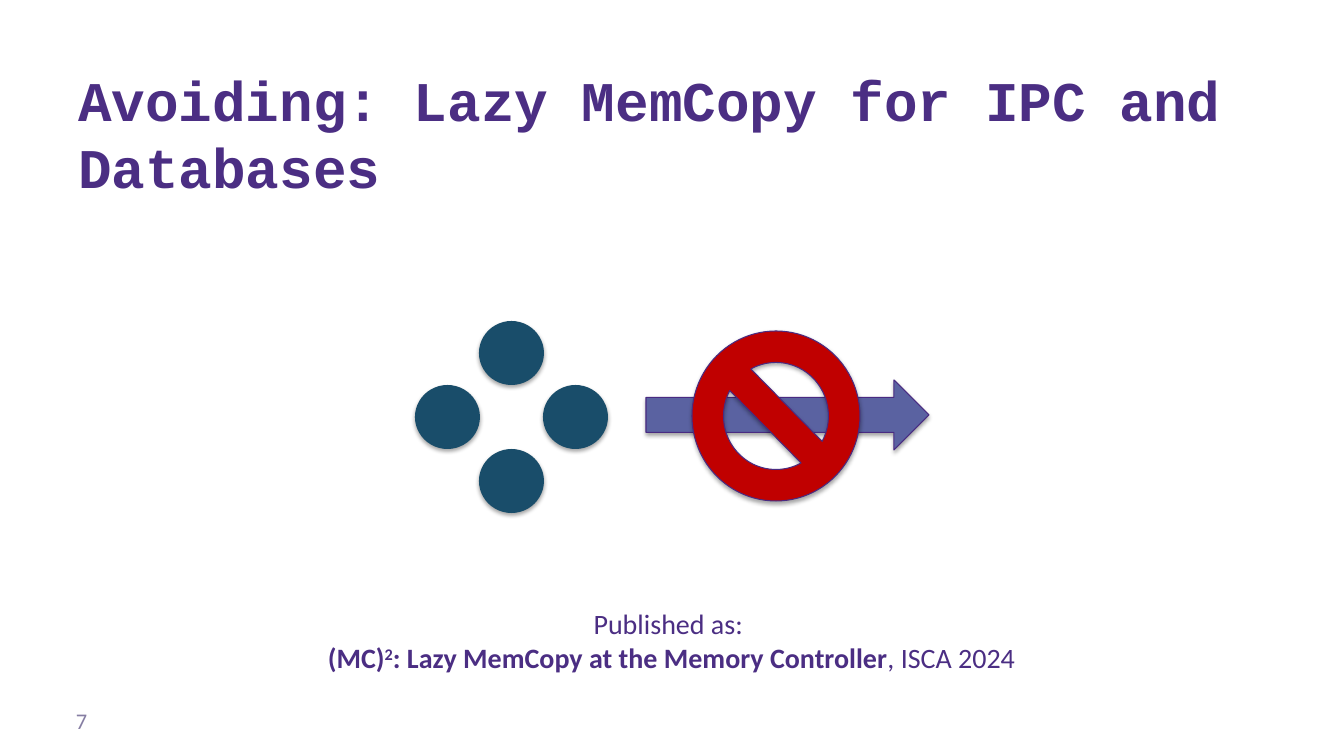
from lxml import etree
from pptx import Presentation
from pptx.dml.color import RGBColor
from pptx.enum.shapes import MSO_SHAPE
from pptx.enum.text import MSO_ANCHOR, PP_ALIGN
from pptx.oxml.ns import qn
from pptx.util import Emu, Pt

EMU_PER_PX = 914400 / 100.8
OVAL, ARROW, BAN = MSO_SHAPE.OVAL, MSO_SHAPE.RIGHT_ARROW, MSO_SHAPE.NO_SYMBOL
BOTTOM, MIDDLE, TOP = MSO_ANCHOR.BOTTOM, MSO_ANCHOR.MIDDLE, MSO_ANCHOR.TOP
LEFT, CENTER = PP_ALIGN.LEFT, PP_ALIGN.CENTER

PURPLE = "4B2E83"
OUTLINE = "492B82"
BODY_FONT = "Calibri"
TITLE_FONT = "Courier New"


def px(length):
    return Emu(round(length * EMU_PER_PX))


def color(hex_string):
    return RGBColor.from_string(hex_string)


class SlideBuilder:
    def __init__(self, slide):
        self.slide = slide

    def run(self, paragraph, words, size, ink, font=BODY_FONT, bold=False, raised=False):
        run = paragraph.add_run()
        run.text = words
        run.font.size = Pt(size)
        run.font.name = font
        run.font.bold = bold
        run.font.color.rgb = color(ink)
        if raised:
            run.font._element.set("baseline", "30000")

    def title(self, box, words, size):
        heading = self.slide.shapes.title
        heading.left, heading.top, heading.width, heading.height = map(px, box)
        frame = heading.text_frame
        frame.word_wrap = True
        frame.vertical_anchor = BOTTOM
        frame.margin_bottom = 0
        frame.paragraphs[0].alignment = LEFT
        self.run(frame.paragraphs[0], words, size, PURPLE, TITLE_FONT, bold=True)

    def text(self, box, lines, size, ink, align=LEFT, anchor=TOP, wrap=True):
        """Each line is a list of (words, bold, raised) runs."""
        frame = self.slide.shapes.add_textbox(*map(px, box)).text_frame
        frame.word_wrap = wrap
        frame.vertical_anchor = anchor
        for index, line in enumerate(lines):
            paragraph = frame.add_paragraph() if index else frame.paragraphs[0]
            paragraph.alignment = align
            for words, bold, raised in line:
                self.run(paragraph, words, size, ink, bold=bold, raised=raised)

    def shape(self, kind, box, fill, line=None):
        shape = self.slide.shapes.add_shape(kind, *map(px, box))
        shape.fill.solid()
        shape.fill.fore_color.rgb = color(fill)
        if line:
            shape.line.color.rgb = color(line)
            shape.line.width = Pt(0.75)
        else:
            shape.line.fill.background()
        self.soft_shadow(shape)

    def soft_shadow(self, shape):
        shape.shadow.inherit = False
        effects = shape._element.spPr.find(qn("a:effectLst"))
        shadow = etree.SubElement(
            effects, qn("a:outerShdw"), blurRad=str(Pt(3.1)), dist=str(Pt(1.8)),
            dir="5400000", rotWithShape="0")
        black = etree.SubElement(shadow, qn("a:srgbClr"), val="000000")
        etree.SubElement(black, qn("a:alpha"), val="35000")


def main():
    deck = Presentation()
    deck.slide_width, deck.slide_height = px(1344), px(756)
    builder = SlideBuilder(deck.slides.add_slide(deck.slide_layouts[5]))

    # Title and page number
    builder.title((68, 54, 1202, 146), "Avoiding: Lazy MemCopy for IPC and Databases", 40)
    builder.text((66, 701, 302, 40), [[("7", False, False)]], 16, "867EA3", anchor=MIDDLE)

    # Diamond of four data blocks
    center_x, center_y, step = 511, 417, 64
    for column, row in ((-1, 0), (0, -1), (0, 1), (1, 0)):
        builder.shape(OVAL, (center_x + column * step - 32, center_y + row * step - 32, 65, 64),
                      "194D6A")

    # Copy arrow, crossed out
    builder.shape(ARROW, (646, 380, 283, 70), "5A62A1", OUTLINE)
    builder.shape(BAN, (692, 331, 168, 170), "C00000", OUTLINE)

    # Publication
    publication = [
        [("Published as: ", False, False)],
        [("(MC)", True, False), ("2", True, True),
         (": Lazy MemCopy at the Memory Controller", True, False),
         (", ISCA 2024", False, False)],
    ]
    builder.text((314, 602, 715, 78), publication, 20, PURPLE, align=CENTER, wrap=False)

    deck.save("out.pptx")


if __name__ == "__main__":
    main()
